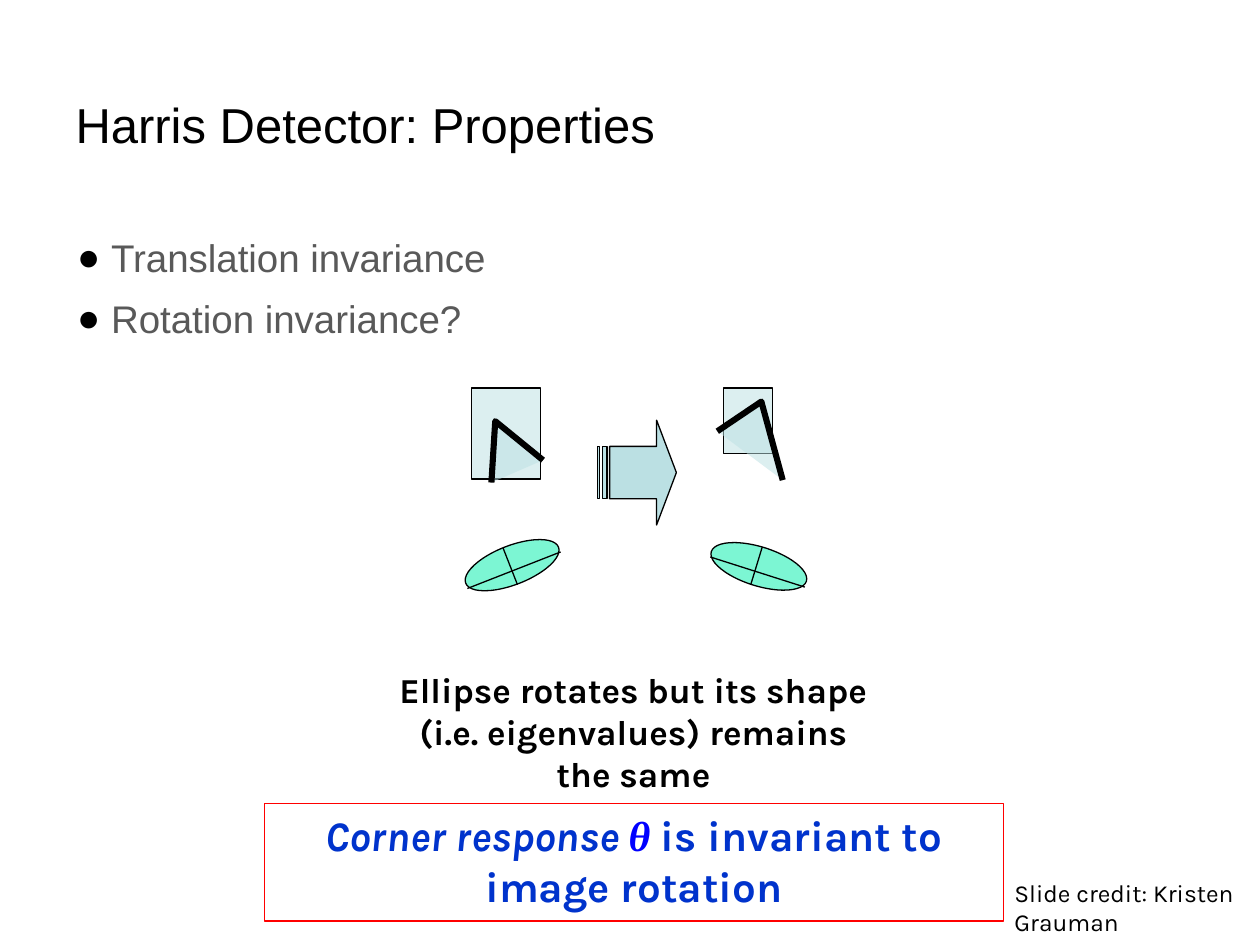
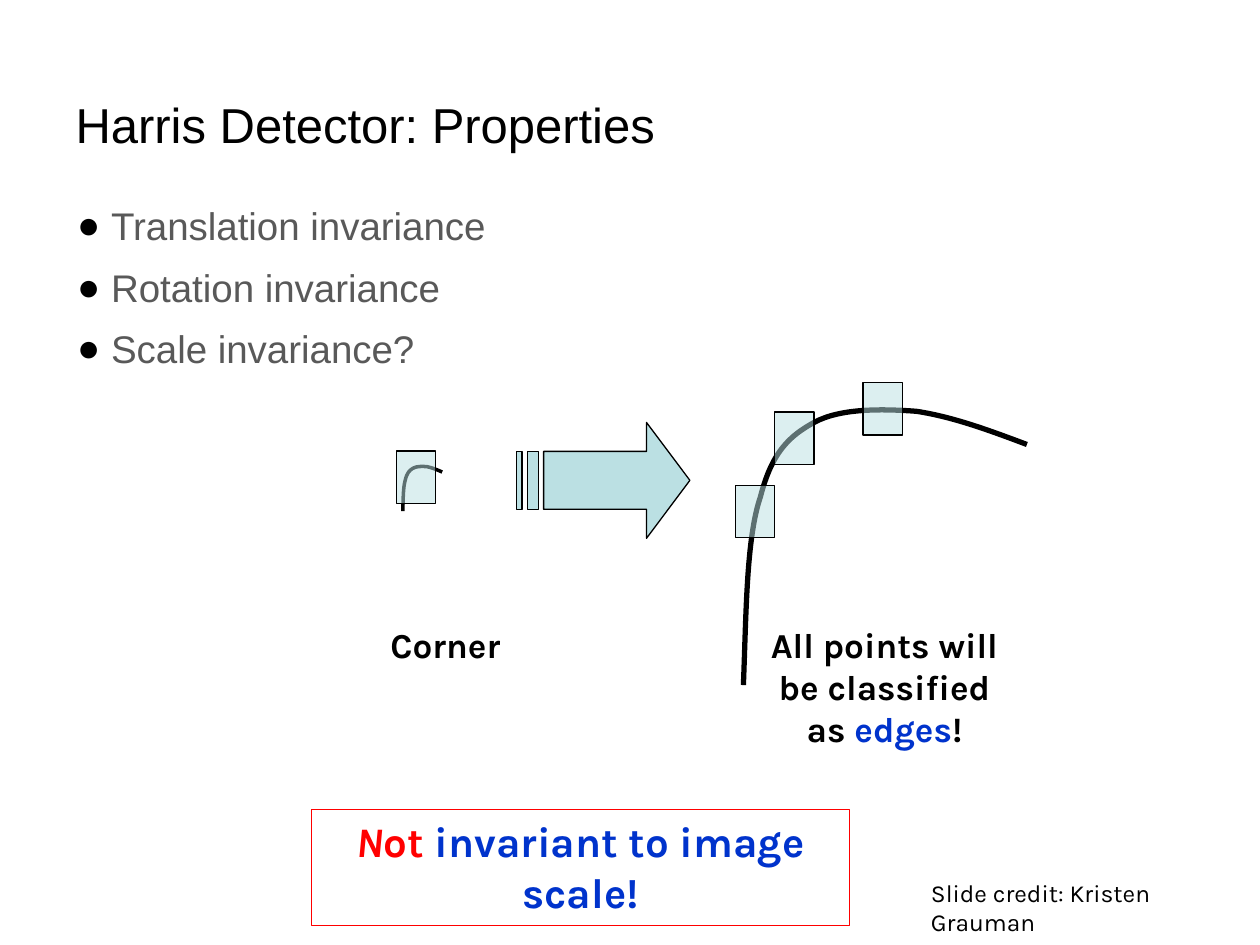
from lxml.etree import SubElement
from pptx import Presentation
from pptx.dml.color import RGBColor
from pptx.enum.shapes import MSO_CONNECTOR, MSO_SHAPE
from pptx.enum.text import MSO_ANCHOR, MSO_AUTO_SIZE, PP_ALIGN
from pptx.oxml.ns import qn
from pptx.util import Pt

COLOURS = {
    "ink": "000000",
    "list": "595959",
    "window": "BBE0E3",
    "ellipse": "7CF6D3",
    "frame": "FF0000",
    "claim": "0033CC",
    "theta": "0000FF",
}
TITLE_BOX = (36, 25.9, 486, 90)
LIST_SIZE = (624.2, 356.4)
WINDOW_SIZE = (22.4, 30)
ELLIPSE_SIZE = (56.9, 22.3)
CURVE_NODES = [
    (0, 1), (0.01, 0.74), (0.01, 0.47), (0.06, 0.32), (0.1, 0.16), (0.16, 0.1), (0.25, 0.05),
    (0.34, 0), (0.48, 0), (0.61, 0.01), (0.74, 0.03), (0.87, 0.08), (1, 0.13),
]


def colour(name):
    """Return the named colour."""
    return RGBColor.from_string(COLOURS[name])


def lengths(values):
    """Turn numbers in points into lengths."""
    return [Pt(value) for value in values]


def add_run(paragraph, text, size, ink="ink", face="Karla", bold=False, italic=False):
    """Append one formatted run."""
    run = paragraph.add_run()
    run.text = text
    run.font.name = face
    run.font.size = Pt(size)
    run.font.bold = bold
    run.font.italic = italic
    run.font.color.rgb = colour(ink)


def set_frame(frame, anchor=MSO_ANCHOR.TOP):
    """Give a text frame the shared wrapping, fitting and margins."""
    frame.word_wrap = True
    frame.auto_size = MSO_AUTO_SIZE.NONE
    frame.vertical_anchor = anchor
    frame.margin_left = frame.margin_right = Pt(7.2)
    frame.margin_top = frame.margin_bottom = Pt(3.6)


def style(shape, fill=None, line="ink", weight=0.75, see_through=False):
    """Set the fill and outline of a shape and drop its shadow."""
    shape.shadow.inherit = False
    shape.line.color.rgb = colour(line)
    shape.line.width = Pt(weight)
    if fill is None:
        shape.fill.background()
        return
    shape.fill.solid()
    shape.fill.fore_color.rgb = colour(fill)
    if see_through:
        tint = shape._element.spPr.find(qn("a:solidFill"))[0]
        SubElement(tint, qn("a:alpha"), val="50000")


def add_outline(slide, box, contours, close):
    """Draw contours, given as fractions of the box, as one freeform."""
    left, top, width, height = box
    placed = [[lengths((left + x * width, top + y * height)) for x, y in contour]
              for contour in contours]
    builder = slide.shapes.build_freeform(*placed[0][0])
    for index, (start, *rest) in enumerate(placed):
        if index:
            builder.move_to(*start)
        builder.add_line_segments(rest, close=close)
    return builder.convert_to_shape()


def add_title(slide):
    """Fill the title placeholder."""
    title = slide.shapes.title
    title.left, title.top, title.width, title.height = lengths(TITLE_BOX)
    set_frame(title.text_frame, MSO_ANCHOR.MIDDLE)
    paragraph = title.text_frame.paragraphs[0]
    paragraph.alignment = PP_ALIGN.LEFT
    add_run(paragraph, "Harris Detector: Properties", 28, face="Arial")


def add_properties(slide, top, properties):
    """Fill the body placeholder with the bulleted properties."""
    body = slide.placeholders[1]
    body.left, body.top, body.width, body.height = lengths((36, top, *LIST_SIZE))
    set_frame(body.text_frame)
    for index, text in enumerate(properties):
        paragraph = body.text_frame.add_paragraph() if index else body.text_frame.paragraphs[0]
        paragraph.line_spacing = 1.15
        paragraph.space_before = Pt(4.8 if index else 0)
        paragraph.space_after = Pt(0)
        settings = paragraph._p.get_or_add_pPr()
        settings.set("marL", str(Pt(20.3)))
        settings.set("indent", str(Pt(-19.4)))
        SubElement(SubElement(settings, qn("a:buClr")), qn("a:srgbClr"), val=COLOURS["ink"])
        SubElement(settings, qn("a:buFont"), typeface="Arial")
        SubElement(settings, qn("a:buChar"), char="●")
        add_run(paragraph, text, 22, "list", "Arial")


def add_caption(slide, box, runs):
    """Write a bold centred caption of (text, colour) runs."""
    frame = slide.shapes.add_textbox(*lengths(box)).text_frame
    set_frame(frame)
    paragraph = frame.paragraphs[0]
    paragraph.alignment = PP_ALIGN.CENTER
    for text, ink in runs:
        add_run(paragraph, text, 20, ink, bold=True)


def add_claim(slide, box, runs):
    """Write the conclusion of (text, colour, face, italic) runs in a red frame."""
    claim = slide.shapes.add_shape(MSO_SHAPE.RECTANGLE, *lengths(box))
    style(claim, line="frame")
    set_frame(claim.text_frame)
    paragraph = claim.text_frame.paragraphs[0]
    paragraph.alignment = PP_ALIGN.CENTER
    for text, ink, face, italic in runs:
        add_run(paragraph, text, 24, ink, face, bold=True, italic=italic)


def add_credit(slide, left):
    """Write the slide credit at the bottom."""
    frame = slide.shapes.add_textbox(*lengths((left, 498.2, 157, 24.5))).text_frame
    set_frame(frame)
    add_run(frame.paragraphs[0], "Slide credit: Kristen Grauman", 14)


def add_window(slide, box):
    """Draw a half-transparent detection window."""
    window = slide.shapes.add_shape(MSO_SHAPE.RECTANGLE, *lengths(box))
    style(window, "window", see_through=True)


def add_corner(slide, box, nodes):
    """Draw a window with a corner whose nodes are offsets from the window."""
    add_window(slide, box)
    corner = add_outline(slide, (*box[:2], 1, 1), [nodes], close=False)
    style(corner, "window", weight=3.5, see_through=True)


def add_striped_arrow(slide, box):
    """Draw a right arrow with two stripes at its tail."""
    stripes = [[(a, 0.25), (a, 0.75), (b, 0.75), (b, 0.25)]
               for a, b in ((1 / 16, 1 / 8), (0, 1 / 32))]
    tail = 5 / 32
    head = [(0.75, 0), (0.75, 0.25), (tail, 0.25), (tail, 0.75), (0.75, 0.75), (0.75, 1), (1, 0.5)]
    style(add_outline(slide, box, [head, *stripes], close=True), "window")


def add_ellipse(slide, corner, tilt, axes):
    """Draw a tilted ellipse and its two axes, given as offsets from its corner."""
    left, top = corner
    ellipse = slide.shapes.add_shape(MSO_SHAPE.OVAL, *lengths((left, top, *ELLIPSE_SIZE)))
    ellipse.rotation = tilt
    style(ellipse, "ellipse")
    for x1, y1, x2, y2 in axes:
        axis = slide.shapes.add_connector(
            MSO_CONNECTOR.STRAIGHT, *lengths((left + x1, top + y1, left + x2, top + y2)))
        axis.line.color.rgb = colour("ink")
        axis.line.width = Pt(0.75)
        SubElement(axis._element.spPr, qn("a:effectLst"))


def add_curve(slide, box, weight):
    """Draw the bent edge as cubic segments scaled to the box."""
    curve = add_outline(slide, box, [CURVE_NODES], close=False)
    style(curve, weight=weight)
    outline = next(curve._element.iter(qn("a:path")))
    nodes = outline.findall(qn("a:lnTo"))
    for first in range(0, len(nodes), 3):
        segment = SubElement(outline, qn("a:cubicBezTo"))
        for node in nodes[first:first + 3]:
            segment.append(node[0])
            outline.remove(node)


def build_rotation_slide(slide):
    """Show that the corner response survives rotation."""
    add_title(slide)
    add_properties(slide, 126, ["Translation invariance", "Rotation invariance?"])
    add_caption(slide, (215.5, 378.4, 293, 55.4),
                [("Ellipse rotates but its shape (i.e. eigenvalues) remains the same", "ink")])
    add_corner(slide, (269.3, 221.8, 39.6, 52), [(11.5, 54), (13.7, 18.9), (41, 41.2)])
    add_corner(slide, (413.3, 221.8, 28.1, 37.6), [(-3.4, 24.7), (21.8, 7.7), (34, 52.6)])
    add_striped_arrow(slide, (341.3, 240.1, 45.2, 59.9))
    add_ellipse(slide, (264.2, 311.8), -21.2, [(2.9, 24.5, 56.2, 3.6), (23.3, 1.4, 31.5, 22.3)])
    add_ellipse(slide, (405.2, 312.5), 17.3, [(0.7, 5.8, 54.7, 23), (30.4, 0, 23.8, 21.6)])
    add_claim(slide, (151, 459.3, 422.5, 67), [
        ("Corner response ", "claim", "Karla", True),
        ("θ ", "theta", "Times New Roman", True),
        ("is invariant to image rotation", "claim", "Karla", False),
    ])
    add_credit(slide, 572.6)


def build_scale_slide(slide):
    """Show that a corner turns into edges when enlarged."""
    add_title(slide)
    add_properties(slide, 108,
                   ["Translation invariance", "Rotation invariance", "Scale invariance?"])
    add_claim(slide, (177.9, 462.7, 307.6, 66.2), [
        ("N", "frame", "Karla", True),
        ("ot", "frame", "Karla", False),
        (" invariant to image scale!", "claim", "Karla", False),
    ])
    add_curve(slide, (230.2, 266.4, 22.5, 25.7), 2)
    add_window(slide, (226.5, 257.8, *WINDOW_SIZE))
    add_curve(slide, (424.8, 233.5, 162, 158), 3)
    for corner in ((420.3, 277.4), (442.8, 235.4), (493.2, 218.6)):
        add_window(slide, (*corner, *WINDOW_SIZE))
    add_striped_arrow(slide, (295.2, 241.4, 99, 66.2))
    add_caption(slide, (429.1, 352.8, 152.6, 55.4), [
        ("All points will be classified as ", "ink"), ("edges", "claim"), ("!", "ink")])
    add_caption(slide, (199.1, 352.8, 110.9, 31.7), [("Corner", "ink")])
    add_credit(slide, 524.9)


def main():
    """Build and save the two slides."""
    deck = Presentation()
    deck.slide_width, deck.slide_height = Pt(720), Pt(540)
    for build in (build_rotation_slide, build_scale_slide):
        build(deck.slides.add_slide(deck.slide_layouts[1]))
    deck.save("out.pptx")


if __name__ == "__main__":
    main()
